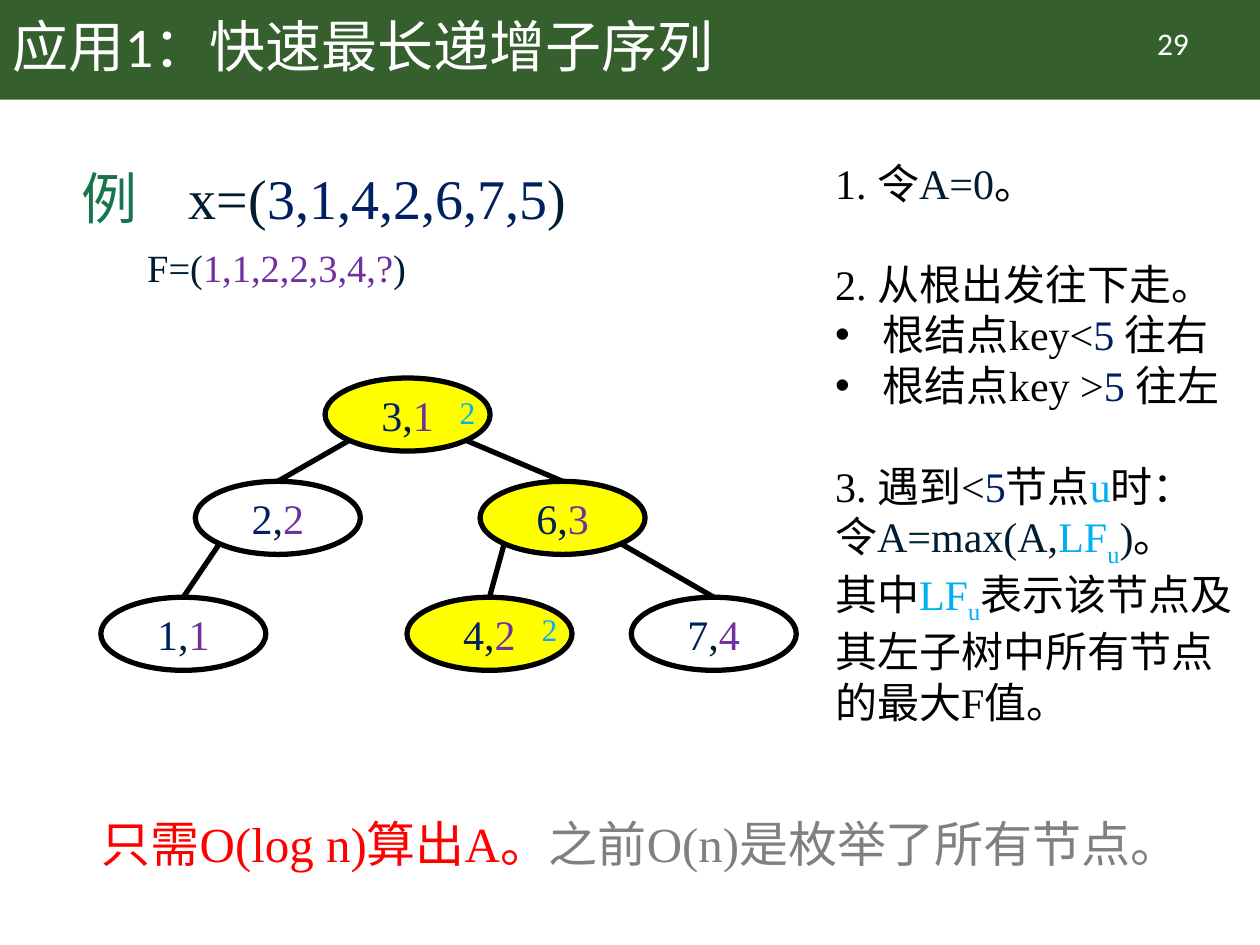
from dataclasses import dataclass
from math import sqrt

from lxml.etree import SubElement
from pptx import Presentation
from pptx.dml.color import RGBColor
from pptx.enum.shapes import MSO_CONNECTOR, MSO_SHAPE
from pptx.enum.text import MSO_ANCHOR, MSO_AUTO_SIZE, PP_ALIGN
from pptx.oxml.ns import qn
from pptx.util import Inches, Pt


@dataclass(frozen=True)
class Theme:
    head: str = "Calibri"
    body: str = "Times New Roman"
    # Colours
    white: str = "FFFFFF"
    black: str = "000000"
    band: str = "365F2E"
    green: str = "16754D"
    ink: str = "001C30"
    navy: str = "002060"
    purple: str = "7030A0"
    cyan: str = "00B0F0"
    yellow: str = "FFFF00"
    red: str = "FF0000"
    gray: str = "808080"
    # Type sizes and line width
    title: int = 32
    close: int = 28
    text: int = 24
    series: int = 22
    small: int = 18
    line: int = 3


class Deck:
    def __init__(self, theme):
        self.theme = theme
        self.prs = Presentation()
        self.prs.slide_width, self.prs.slide_height = Inches(10), Inches(7.5)
        self.slide = self.prs.slides.add_slide(self.prs.slide_layouts[5])

    def add_runs(self, para, runs, size, font=None):
        """Add runs given as (text, colour) or (text, colour, baseline)."""
        for text, color, *base in runs:
            run = para.add_run()
            run.text = text
            run.font.name = font or self.theme.body
            run.font.size = Pt(size)
            run.font.color.rgb = RGBColor.from_string(color)
            if base:
                run.font._element.set("baseline", str(base[0] * 1000))

    def title(self, text, left, top, width, height):
        shape = self.slide.shapes.title
        shape.left, shape.top = Inches(left), Inches(top)
        shape.width, shape.height = Inches(width), Inches(height)
        frame = shape.text_frame
        frame.auto_size = MSO_AUTO_SIZE.NONE
        frame.vertical_anchor = MSO_ANCHOR.MIDDLE
        para = frame.paragraphs[0]
        para.alignment, para.line_spacing = PP_ALIGN.LEFT, 0.9
        self.add_runs(para, [(text, self.theme.white)],
                      self.theme.title, self.theme.head)

    def text(self, left, top, width, height):
        box = self.slide.shapes.add_textbox(
            Inches(left), Inches(top), Inches(width), Inches(height))
        box.text_frame.word_wrap = True
        return box.text_frame

    def shape(self, kind, left, top, width, height, fill=None, line=None):
        shape = self.slide.shapes.add_shape(
            kind, Inches(left), Inches(top), Inches(width), Inches(height))
        shape.shadow.inherit = False
        if fill:
            shape.fill.solid()
            shape.fill.fore_color.rgb = RGBColor.from_string(fill)
        else:
            shape.fill.background()
        if line:
            shape.line.color.rgb = RGBColor.from_string(line)
            shape.line.width = Pt(self.theme.line)
        else:
            shape.line.fill.background()
        return shape

    def node(self, left, top, width, height, runs, fill):
        shape = self.shape(MSO_SHAPE.OVAL, left, top, width, height,
                           fill, self.theme.black)
        frame = shape.text_frame
        frame.margin_left = frame.margin_right = 0
        frame.margin_top = frame.margin_bottom = 0
        frame.vertical_anchor = MSO_ANCHOR.MIDDLE
        para = frame.paragraphs[0]
        para.alignment = PP_ALIGN.CENTER
        self.add_runs(para, runs, self.theme.text)

    def edge(self, start, end):
        line = self.slide.shapes.add_connector(
            MSO_CONNECTOR.STRAIGHT, *map(Inches, start + end))
        line.line.color.rgb = RGBColor.from_string(self.theme.black)
        line.line.width = Pt(self.theme.line)
        SubElement(line._element.spPr, qn("a:effectLst"))

    def indent(self, para, left, hang=0.0, bullet=None):
        props = para._p.get_or_add_pPr()
        props.set("marL", str(Inches(left)))
        props.set("indent", str(Inches(-hang)))
        if bullet:
            SubElement(props, qn("a:buFont"), typeface="Arial")
            SubElement(props, qn("a:buChar"), char=bullet)

    def tab(self, para, pos):
        tabs = SubElement(para._p.get_or_add_pPr(), qn("a:tabLst"))
        SubElement(tabs, qn("a:tab"), pos=str(Inches(pos)), algn="l")


def main():
    t = Theme()
    deck = Deck(t)

    # Header band, title and page number
    deck.shape(MSO_SHAPE.RECTANGLE, 0, 0, 10, 0.79, t.band)
    deck.title("应用1：快速最长递增子序列", 0, 0, 8.62, 0.79)
    # The title sits in front of the band
    tree_root = deck.slide.shapes._spTree
    tree_root.append(deck.slide.shapes.title._element)
    page = deck.text(8.71, 0.14, 1.2, 0.4).paragraphs[0]
    page.alignment = PP_ALIGN.CENTER
    deck.add_runs(page, [("29", t.white)], t.small, t.head)

    # Example sequence and its F values
    frame = deck.text(0.55, 1.31, 5.07, 1.46)
    given, found = frame.paragraphs[0], frame.add_paragraph()
    for para in (given, found):
        para.line_spacing, para.space_before = 0.9, Pt(10)
    deck.tab(given, 0.85)
    deck.add_runs(given, [("例\t", t.green), ("x=(", t.ink),
                          ("3,1,4,2,6,7,5", t.navy), (")", t.ink)], t.title)
    deck.indent(found, 0.52)
    deck.add_runs(found, [("F=(", t.ink), ("1,1,2,2,3,4,?", t.purple),
                          (")", t.ink)], t.series)

    # Search tree: key -> (left, top, F, parent, on search route)
    wide, high = 1.31, 0.58
    rows = (3, 3.82, 4.74)
    tree = {
        3: (2.58, rows[0], 1, None, True),
        2: (1.55, rows[1], 2, 3, False),
        1: (0.8, rows[2], 1, 2, False),
        6: (3.81, rows[1], 3, 3, True),
        4: (3.23, rows[2], 2, 6, True),
        7: (5.01, rows[2], 4, 6, False),
    }
    for key, (left, top, rank, _, route) in tree.items():
        runs = [(str(key), t.navy), (",", t.ink), (str(rank), t.purple)]
        deck.node(left, top, wide, high, runs, t.yellow if route else None)

    # Edges run from a lower diagonal point of the parent to the child's top
    for key, (left, top, _, parent, _) in tree.items():
        if parent:
            x, y = tree[parent][:2]
            side = -1 if key < parent else 1
            start = (x + wide / 2 * (1 + side / sqrt(2)),
                     y + high / 2 * (1 + 1 / sqrt(2)))
            deck.edge(start, (left + wide / 2, top))

    # Algorithm steps: (runs, starts a step, bulleted)
    sub = ("u", t.cyan, -25)
    steps = [
        ([("1. 令", t.black), ("A=0", t.ink), ("。", t.black)], False, False),
        ([("2. 从根出发往下走。", t.black)], True, False),
        ([("根结点key<", t.black), ("5 ", t.navy), ("往右", t.black)],
         False, True),
        ([("根结点key >", t.black), ("5 ", t.navy), ("往左", t.black)],
         False, True),
        ([("3. 遇到<", t.black), ("5", t.navy), ("节点", t.black),
          ("u", t.cyan), ("时： 令", t.black), ("A=max(A,", t.ink),
          ("LF", t.cyan), sub, (")", t.ink), ("。", t.black)], True, False),
        ([("其中", t.black), ("LF", t.cyan), sub,
          ("表示该节点及其左子树中所有节点的最大F值。", t.black)],
         False, False),
    ]
    frame = deck.text(6.53, 1.2, 3.4, 4.95)
    for i, (runs, fresh, dot) in enumerate(steps):
        para = frame.add_paragraph() if i else frame.paragraphs[0]
        if fresh:
            para.space_before = Pt(29)
        if dot:
            deck.indent(para, 0.38, 0.38, "•")
        deck.add_runs(para, runs, t.text)

    # LF values beside the nodes on the route
    for left, top in ((3.55, 3.07), (4.2, 4.79)):
        mark = deck.text(left, top, 0.61, 0.4).paragraphs[0]
        deck.add_runs(mark, [("2", t.cyan)], t.small)

    # Closing remark
    close = deck.text(0.71, 6.41, 8.82, 0.57).paragraphs[0]
    deck.add_runs(close, [("只需O(log n)算出A。", t.red),
                          ("之前O(n)是枚举了所有节点。", t.gray)], t.close)

    deck.prs.save("out.pptx")


if __name__ == "__main__":
    main()
